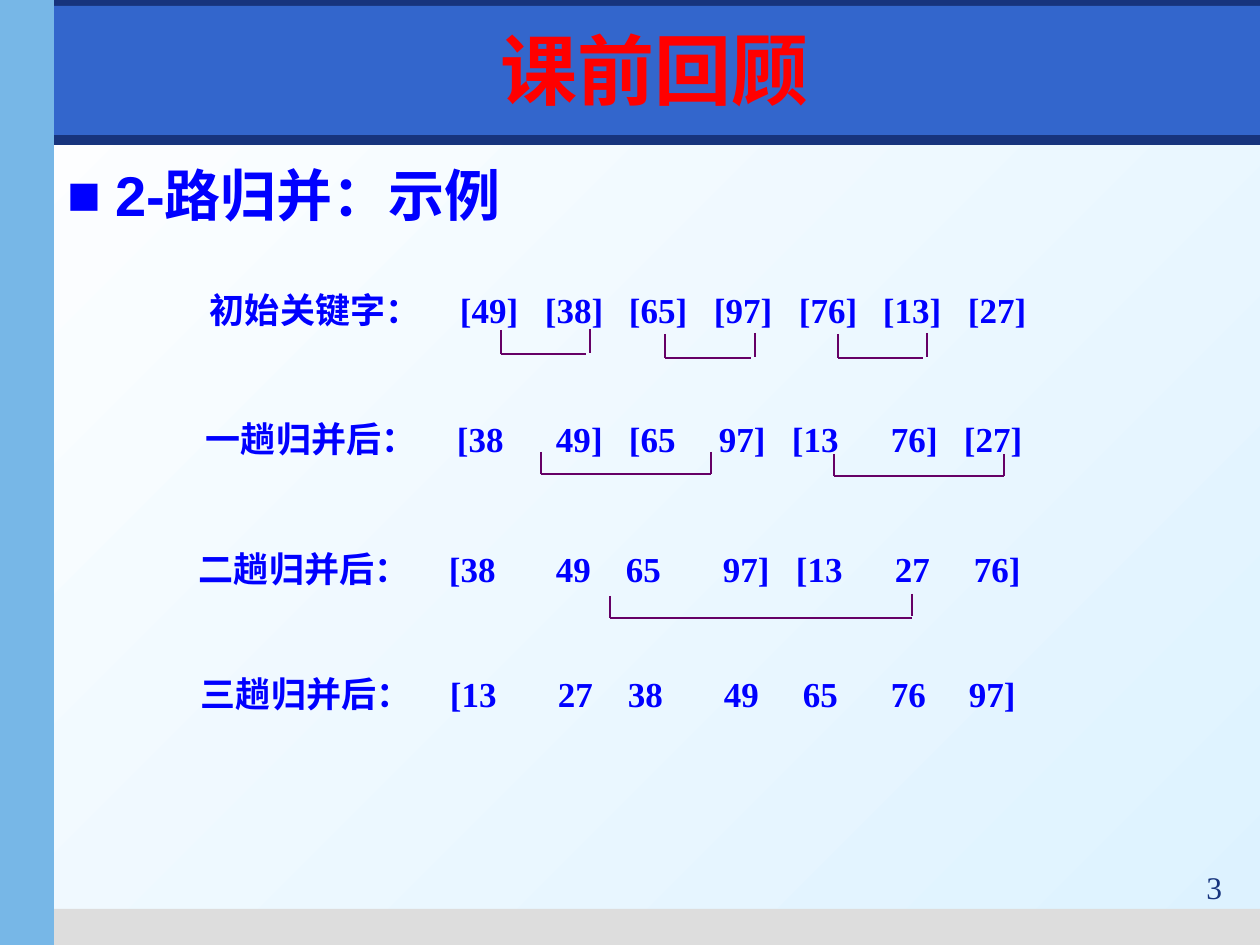
import dataclasses

import pptx
import pptx.dml.color
import pptx.enum.shapes
import pptx.enum.text
import pptx.oxml.ns
import pptx.util
from lxml import etree

EMU_PER_PX = 914400 / 126
WIDTH, HEIGHT = 1260, 945
INSET_X, INSET_Y = 13, 6
ALIGN = pptx.enum.text.PP_ALIGN


@dataclasses.dataclass(frozen=True)
class Theme:
    navy: str = "17347D"
    banner: str = "3366CC"
    sidebar: str = "77B7E7"
    footer: str = "DDDDDD"
    paper: str = "FFFFFF"
    paper_end: str = "DDF2FF"
    text: str = "0000FF"
    title: str = "FF0000"
    bracket: str = "660066"
    title_size: int = 44
    heading_size: int = 32
    row_size: int = 20
    number_size: int = 18
    line_width: float = 0.75
    title_font: str = "DejaVu Sans"
    heading_font: str = "Arial"
    body_font: str = "Times New Roman"


def px(length):
    return pptx.util.Emu(round(length * EMU_PER_PX))


def rgb(value):
    return pptx.dml.color.RGBColor.from_string(value)


def add_element(parent, tag, **attributes):
    element = etree.SubElement(parent, pptx.oxml.ns.qn(tag))
    for name, value in attributes.items():
        element.set(name, str(value))
    return element


def write_text(frame, text, *, font, size, color, bold=True,
               align=ALIGN.LEFT, bullet=None, indent=0, tabs=()):
    """Fill the first paragraph of a frame; tabs and indent are in px."""
    para = frame.paragraphs[0]
    para.alignment = align
    properties = para._p.get_or_add_pPr()
    if bullet:
        properties.set("marL", str(px(indent)))
        properties.set("indent", str(-px(indent)))
        bullet_color = add_element(properties, "a:buClr")
        add_element(bullet_color, "a:srgbClr", val=color)
        add_element(properties, "a:buFont", typeface=font)
        add_element(properties, "a:buChar", char=bullet)
    if tabs:
        tab_list = add_element(properties, "a:tabLst")
        for stop in tabs:
            add_element(tab_list, "a:tab", pos=px(stop), algn="l")
    span = para.add_run()
    span.text = text
    span.font.name = font
    span.font.size = pptx.util.Pt(size)
    span.font.bold = bold
    span.font.color.rgb = rgb(color)


class SlideBuilder:
    def __init__(self, page, theme):
        self.page = page
        self.theme = theme

    def background(self):
        fill = self.page.background.fill
        fill.gradient()
        fill.gradient_angle = 315
        colors = (self.theme.paper, self.theme.paper_end)
        for stop, position, color in zip(fill.gradient_stops, (0, 1), colors):
            stop.position = position
            stop.color.rgb = rgb(color)

    def band(self, left, top, width, height, color):
        shape = self.page.shapes.add_shape(
            pptx.enum.shapes.MSO_SHAPE.RECTANGLE,
            px(left), px(top), px(width), px(height))
        shape.shadow.inherit = False
        shape.fill.solid()
        shape.fill.fore_color.rgb = rgb(color)
        shape.line.fill.background()

    def text(self, left, top, width, height, text, **style):
        box = self.page.shapes.add_textbox(px(left), px(top), px(width), px(height))
        frame = box.text_frame
        frame.word_wrap = True
        frame.margin_left = frame.margin_right = px(INSET_X)
        frame.margin_top = frame.margin_bottom = px(INSET_Y)
        write_text(frame, text, **style)

    def key_row(self, left, top, label, keys):
        """Draw a label and its keys, each key starting at its own x."""
        text = "\t".join([label, *keys])
        tabs = [x - left - INSET_X for x in keys.values()]
        self.text(left, top, 881, 55, text, tabs=tabs, font=self.theme.body_font,
                  size=self.theme.row_size, color=self.theme.text)

    def line(self, group, start, end):
        connector = group.shapes.add_connector(
            pptx.enum.shapes.MSO_CONNECTOR.STRAIGHT,
            *(px(value) for value in (*start, *end)))
        connector.line.color.rgb = rgb(self.theme.bracket)
        connector.line.width = pptx.util.Pt(self.theme.line_width)
        add_element(connector._element.spPr, "a:effectLst")

    def brackets(self, spans, depth, gap=0, lift=0):
        """Group one row of merge brackets, given as (left, right, top)."""
        group = self.page.shapes.add_group_shape()
        for left, right, top in spans:
            base = top + depth
            self.line(group, (left, top), (left, base))
            self.line(group, (left, base), (right - gap, base))
            self.line(group, (right, top - lift), (right, base - lift))


def main():
    theme = Theme()
    deck = pptx.Presentation()
    deck.slide_width, deck.slide_height = px(WIDTH), px(HEIGHT)
    page = deck.slides.add_slide(deck.slide_layouts[6])
    slide = SlideBuilder(page, theme)

    # Backdrop
    slide.background()
    slide.band(5, 135, WIDTH - 5, 10, theme.navy)
    slide.band(44, 909, WIDTH - 44, HEIGHT - 909, theme.footer)
    slide.band(0, 0, WIDTH, 26, theme.navy)
    slide.band(54, 6, WIDTH - 54, 129, theme.banner)
    slide.band(0, 0, 54, HEIGHT, theme.sidebar)

    # Title and heading
    slide.text(74, 16, 1161, 110, "课前回顾", font=theme.title_font,
               size=theme.title_size, color=theme.title, align=ALIGN.CENTER)
    slide.text(54, 155, 1181, 743, "2-路归并：示例", font=theme.heading_font,
               size=theme.heading_size, color=theme.text, bullet="■", indent=48)

    # Keys after each merge pass
    slide.key_row(197, 282, "初始关键字：", {
        "[49]": 460, "[38]": 545, "[65]": 629, "[97]": 714,
        "[76]": 799, "[13]": 883, "[27]": 968})
    slide.key_row(193, 411, "一趟归并后：", {
        "[38": 457, "49]": 556, "[65": 629, "97]": 719,
        "[13": 792, "76]": 891, "[27]": 964})
    slide.key_row(186, 541, "二趟归并后：", {
        "[38": 449, "49": 556, "65": 626, "97]": 723,
        "[13": 796, "27": 895, "76]": 974})
    slide.key_row(188, 666, "三趟归并后：", {
        "[13": 450, "27": 558, "38": 628, "49": 724,
        "65": 803, "76": 891, "97]": 969})

    # Brackets joining the runs to merge
    slide.brackets([(501, 590, 330), (665, 755, 334), (838, 927, 334)],
                   depth=24, gap=4, lift=1)
    slide.brackets([(541, 711, 452), (834, 1004, 454)], depth=22)
    slide.brackets([(610, 912, 596)], depth=22, lift=2)

    # Page number
    slide.text(941, 862, 294, 44, "3", font=theme.body_font, size=theme.number_size,
               color=theme.navy, bold=False, align=ALIGN.RIGHT)

    deck.save("out.pptx")


if __name__ == "__main__":
    main()
